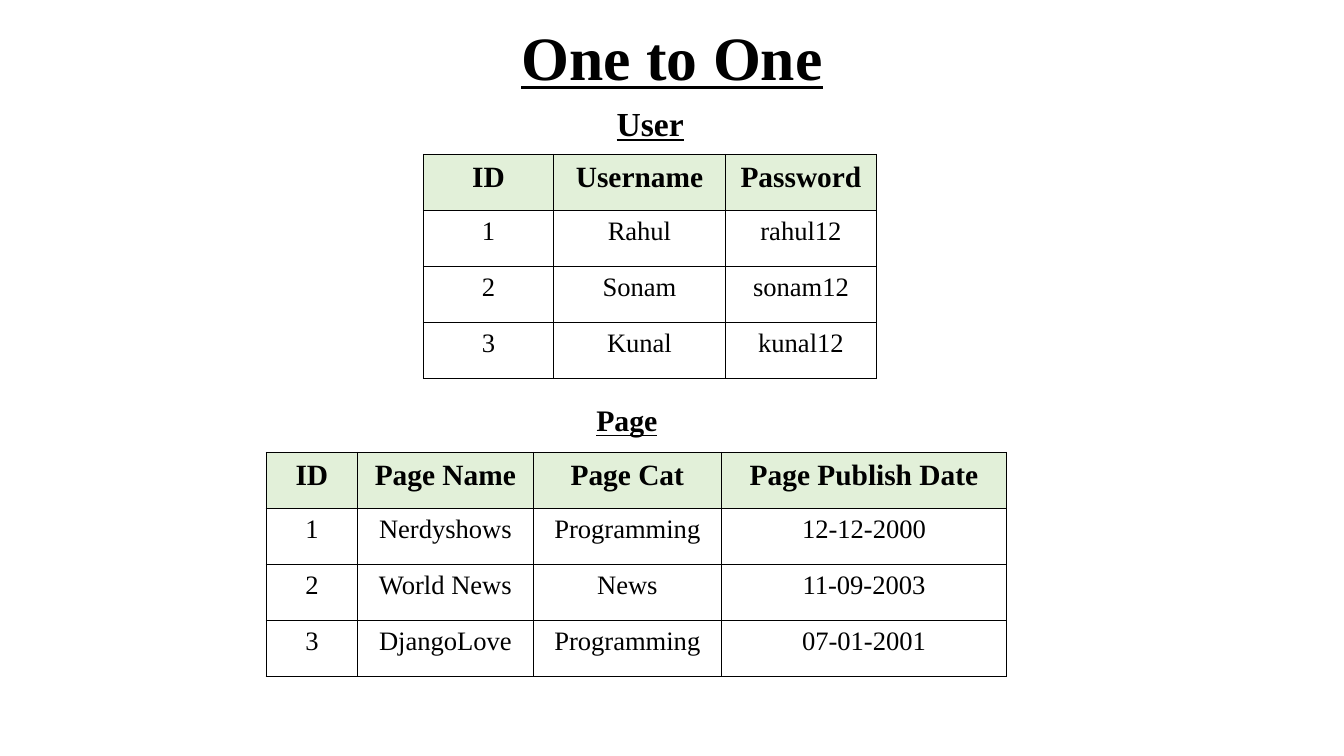
"""Build the One to One slide with its User and Page tables."""
from lxml import etree
from pptx import Presentation
from pptx.dml.color import RGBColor
from pptx.enum import text
from pptx.oxml import ns
from pptx.util import Cm, Pt

HUES = {"ink": "000000", "head": "E2F0D9"}
ROW = 1.41


def style(para, size, bold=False, under=False):
    """Set the font of one paragraph."""
    font = para.font
    font.name = "Times New Roman"
    font.size = Pt(size)
    font.bold = bold
    font.underline = under
    font.color.rgb = RGBColor.from_string(HUES["ink"])


def border(cell):
    """Draw a thin line on each side of a cell."""
    props = cell._tc.get_or_add_tcPr()
    for side in ("lnL", "lnR", "lnT", "lnB"):
        line = etree.SubElement(props, ns.qn(f"a:{side}"), w=str(Pt(1)))
        fill = etree.SubElement(line, ns.qn("a:solidFill"))
        etree.SubElement(fill, ns.qn("a:srgbClr"), val=HUES["ink"])


deck = Presentation()
deck.slide_width, deck.slide_height = Cm(33.87), Cm(19.05)
slide = deck.slides.add_slide(deck.slide_layouts[5])

title = slide.shapes.title
title.left, title.top, title.width, title.height = Cm(1.7), Cm(0.2), Cm(30.48), Cm(2.67)
title.text_frame.text = "One to One"
title.text_frame.vertical_anchor = text.MSO_ANCHOR.MIDDLE
para = title.text_frame.paragraphs[0]
para.alignment = text.PP_ALIGN.CENTER
para.line_spacing = 0.9
style(para, 44, True, True)

tables = [
    (10.67, 3.89, [3.28, 4.33, 3.81], [
        ["ID", "Username", "Password"],
        ["1", "Rahul", "rahul12"],
        ["2", "Sonam", "sonam12"],
        ["3", "Kunal", "kunal12"],
    ]),
    (6.71, 11.4, [2.3, 4.43, 4.74, 7.19], [
        ["ID", "Page Name", "Page Cat", "Page Publish Date"],
        ["1", "Nerdyshows", "Programming", "12-12-2000"],
        ["2", "World News", "News", "11-09-2003"],
        ["3", "DjangoLove", "Programming", "07-01-2001"],
    ]),
]
for left, top, widths, rows in tables:
    table = slide.shapes.add_table(len(rows), len(widths), Cm(left), Cm(top),
                                   Cm(sum(widths)), Cm(ROW * len(rows))).table
    table.horz_banding = False
    for col, width in zip(table.columns, widths):
        col.width = Cm(width)
    for r, row in enumerate(rows):
        table.rows[r].height = Cm(ROW)
        for c, word in enumerate(row):
            cell = table.cell(r, c)
            cell.text = word
            cell.margin_left = cell.margin_right = Cm(0.34)
            cell.margin_top = cell.margin_bottom = Cm(0.17)
            border(cell)
            if r == 0:
                cell.fill.solid()
                cell.fill.fore_color.rgb = RGBColor.from_string(HUES["head"])
            else:
                cell.fill.background()
            para = cell.text_frame.paragraphs[0]
            para.alignment = text.PP_ALIGN.CENTER
            style(para, 21 if r == 0 else 19, r == 0)

labels = [
    ("User", 15.29, 2.46, 2.24, 1.27, 24),
    ("Page", 14.78, 10.01, 2.08, 1.17, 21.3),
]
for word, left, top, width, height, size in labels:
    frame = slide.shapes.add_textbox(Cm(left), Cm(top), Cm(width), Cm(height)).text_frame
    frame.word_wrap = False
    frame.auto_size = text.MSO_AUTO_SIZE.SHAPE_TO_FIT_TEXT
    frame.text = word
    style(frame.paragraphs[0], size, True, True)

deck.save("out.pptx")
